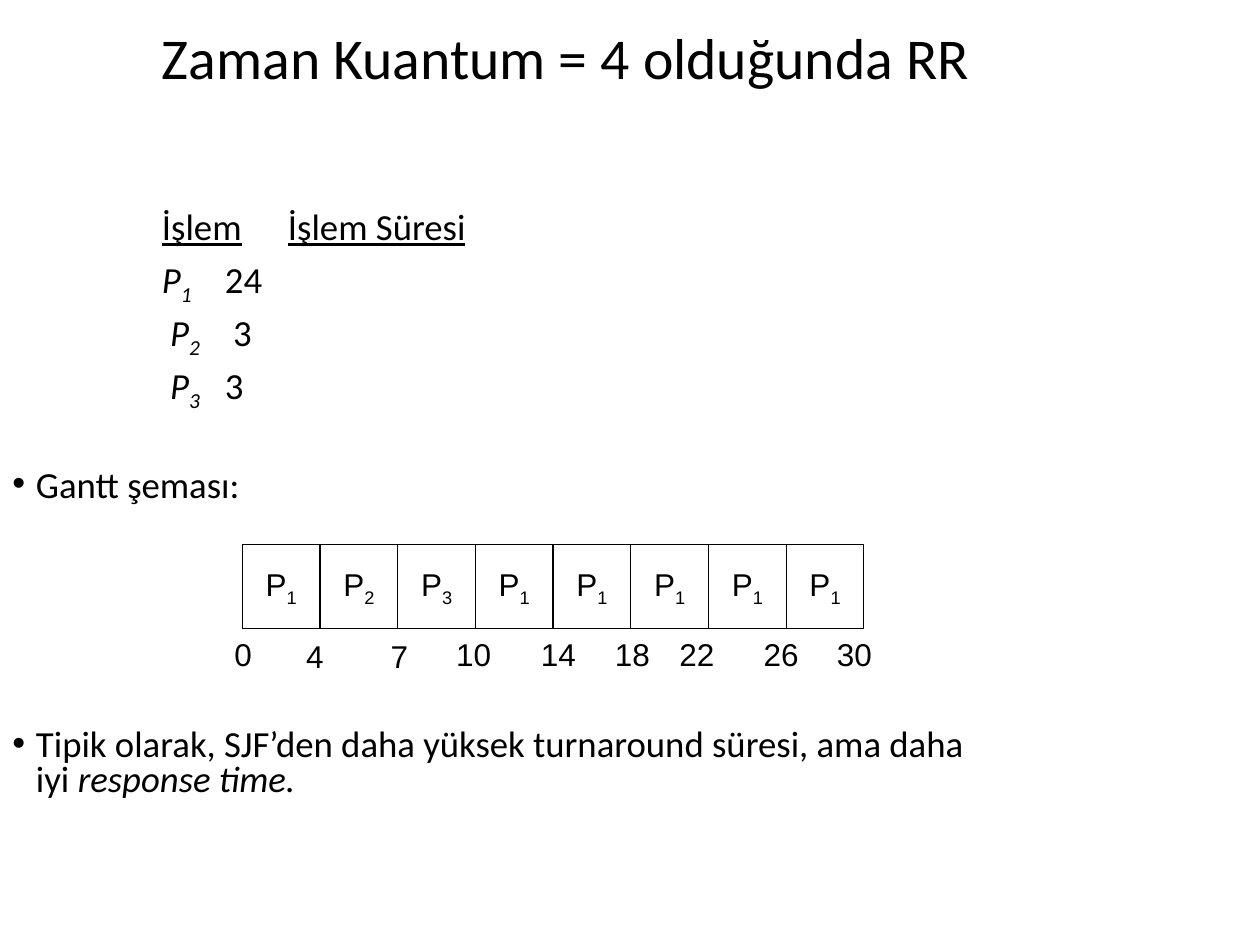
from dataclasses import dataclass
from typing import Any

from lxml.etree import SubElement
from pptx import Presentation
from pptx.dml.color import RGBColor
from pptx.enum.shapes import MSO_SHAPE as Preset
from pptx.enum.text import MSO_ANCHOR as Anchor, MSO_AUTO_SIZE as AutoSize, PP_ALIGN as Align
from pptx.oxml.ns import qn
from pptx.util import Pt

BLACK, WHITE = "000000", "FFFFFF"
TITLE_FONT = {"name": "Calibri", "size": Pt(33)}
BODY_FONT = {"name": "Calibri", "size": Pt(21)}
CHART_FONT = {"name": "Arial", "size": Pt(18)}
ITALIC, UNDERLINE = {"italic": True}, {"underline": True}
SUBSCRIPT = {"subscript": True}
BODY_SPACING = {"line_spacing": 0.8}
CENTERED = {"alignment": Align.CENTER}

CHART_LEFT, CHART_TOP = 138.5, 311
SLOT_WIDTH, SLOT_HEIGHT = 44.4, 60
SLOT_PROCESSES = "12311111"
HANGING, ROW_INDENT = 13.5, 85.5


@dataclass
class Span:
    text: str
    format: dict[str, Any]


@dataclass
class Line:
    spans: list[Span]
    space_before: float = 7.5
    bullet: bool = False


@dataclass
class TimeMark:
    time: int
    center: float
    top: float = 359.3


LINES = [
    Line([Span("İşlem", UNDERLINE), Span("\t", {}), Span("İşlem Süresi", UNDERLINE)]),
    Line([Span("P", ITALIC), Span("1\t", ITALIC | SUBSCRIPT), Span("24", {})]),
    Line([Span(" P", ITALIC), Span("2\t", ITALIC | SUBSCRIPT), Span(" 3", {})]),
    Line([Span(" P", ITALIC), Span("3\t", ITALIC | SUBSCRIPT), Span("3", {})]),
    Line([Span("Gantt şeması:", {})], 35.5, True),
    Line([Span("Tipik olarak, SJF’den daha yüksek turnaround süresi, ama daha iyi ", {}),
          Span("response time.", ITALIC)], 128, True),
]
TIME_MARKS = [
    TimeMark(0, 139), TimeMark(4, 180, 360.4), TimeMark(7, 228.2, 360.4),
    TimeMark(10, 270.7), TimeMark(14, 319), TimeMark(18, 361.4),
    TimeMark(22, 398.2), TimeMark(26, 446.4), TimeMark(30, 488.2),
]


def color(hex_value: str) -> RGBColor:
    return RGBColor.from_string(hex_value)


def apply(target: Any, values: dict[str, Any]) -> None:
    for name, value in values.items():
        setattr(target, name, value)


def add_span(paragraph: Any, span: Span, font: dict[str, Any]) -> None:
    run = paragraph.add_run()
    run.text = span.text
    styles = font | span.format
    if styles.pop("subscript", False):
        run.font._element.set("baseline", "-25000")
    apply(run.font, styles)
    run.font.color.rgb = color(BLACK)


def indent(paragraph: Any, margin: float, first: float, bullet: bool) -> None:
    """Set the left margin and first-line offset, with a bullet if wanted."""
    properties = paragraph._p.get_or_add_pPr()
    properties.set("marL", str(Pt(margin)))
    properties.set("indent", str(Pt(first)))
    if bullet:
        bullet_color = SubElement(properties, qn("a:buClr"))
        SubElement(bullet_color, qn("a:srgbClr")).set("val", BLACK)
        SubElement(properties, qn("a:buFont")).set("typeface", "Arial")
        SubElement(properties, qn("a:buChar")).set("char", "•")


def add_title(slide: Any) -> None:
    frame = slide.shapes.add_textbox(Pt(85.5), Pt(6.5), Pt(634.5), Pt(56)).text_frame
    apply(frame, {"word_wrap": True, "vertical_anchor": Anchor.MIDDLE})
    frame.paragraphs[0].line_spacing = 0.9
    add_span(frame.paragraphs[0], Span("Zaman Kuantum = 4 olduğunda RR", {}), TITLE_FONT)


def add_body(slide: Any) -> None:
    frame = slide.shapes.add_textbox(Pt(0), Pt(118), Pt(579), Pt(353)).text_frame
    frame.word_wrap = True
    for index, line in enumerate(LINES):
        paragraph = frame.add_paragraph() if index else frame.paragraphs[0]
        apply(paragraph, BODY_SPACING | {"space_before": Pt(line.space_before)})
        if line.bullet:
            indent(paragraph, HANGING, -HANGING, True)
        else:
            indent(paragraph, ROW_INDENT, 0, False)
        for span in line.spans:
            add_span(paragraph, span, BODY_FONT)


def add_slot(chart: Any, position: int, process: str) -> None:
    slot = chart.shapes.add_shape(
        Preset.RECTANGLE, Pt(CHART_LEFT + position * SLOT_WIDTH), Pt(CHART_TOP),
        Pt(SLOT_WIDTH), Pt(48))
    slot.shadow.inherit = False
    slot.fill.solid()
    slot.fill.fore_color.rgb = color(WHITE)
    slot.line.color.rgb = color(BLACK)
    slot.line.width = Pt(0.75)
    frame = slot.text_frame
    apply(frame, {"word_wrap": False, "vertical_anchor": Anchor.MIDDLE})
    apply(frame.paragraphs[0], CENTERED)
    add_span(frame.paragraphs[0], Span("P", {}), CHART_FONT)
    add_span(frame.paragraphs[0], Span(process, SUBSCRIPT), CHART_FONT)


def add_time_mark(chart: Any, mark: TimeMark) -> None:
    width = 24.5 if mark.time < 10 else 34.5
    frame = chart.shapes.add_textbox(
        Pt(mark.center - width / 2), Pt(mark.top), Pt(width), Pt(29)).text_frame
    apply(frame, {"word_wrap": False, "vertical_anchor": Anchor.MIDDLE,
                  "auto_size": AutoSize.SHAPE_TO_FIT_TEXT})
    apply(frame.paragraphs[0], CENTERED | {"space_before": Pt(11.2)})
    add_span(frame.paragraphs[0], Span(str(mark.time), {}), CHART_FONT)


def add_gantt_chart(slide: Any) -> None:
    chart = slide.shapes.add_group_shape()
    for position, process in enumerate(SLOT_PROCESSES):
        add_slot(chart, position, process)
    for mark in TIME_MARKS:
        add_time_mark(chart, mark)


def main() -> None:
    presentation = Presentation()
    apply(presentation, {"slide_width": Pt(720), "slide_height": Pt(540)})
    slide = presentation.slides.add_slide(presentation.slide_layouts[6])
    add_title(slide)
    add_body(slide)
    add_gantt_chart(slide)
    presentation.save("out.pptx")


if __name__ == "__main__":
    main()
